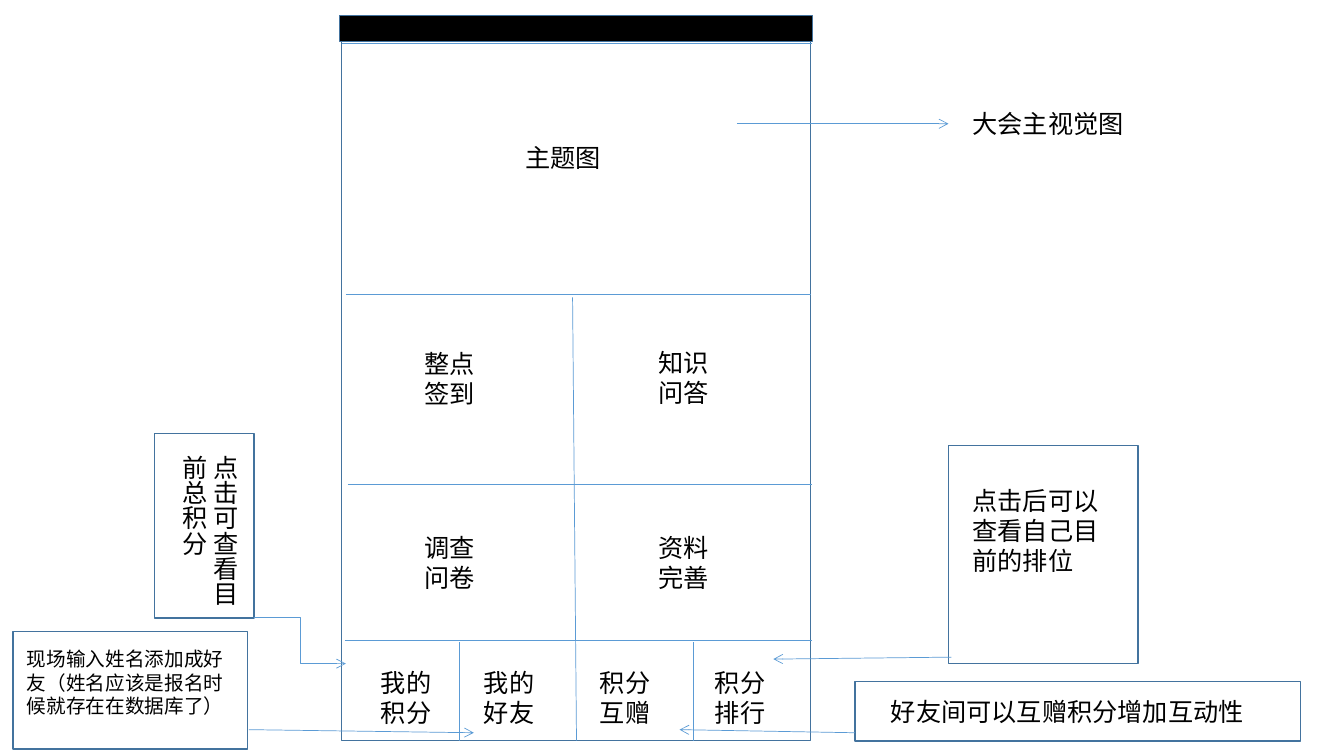
from pptx import Presentation
from pptx.dml.color import RGBColor
from pptx.enum import shapes, text
from pptx.oxml import ns
from pptx.util import Pt
from lxml import etree

FONT = "Calibri"
BLACK, WHITE, OUTLINE, LINE = "000000", "FFFFFF", "43739E", "5B9BD5"

PHONE = (244, 11, 335, 518)
STATUS_BAR = (242.7, 11, 337.6, 18.6)
DIVIDERS = [
    (244, 31, 580, 31),
    (247, 210.2, 579, 210.2),
    (246.3, 457.6, 580, 457.6),
    (409, 212.4, 411.8, 529),
    (328.2, 458.6, 328.2, 529),
    (495.4, 458.6, 495.4, 529),
    (248.4, 345.8, 580, 345.8),
]

TILE_WIDTH, TILE_HEIGHT = 64.8, 50.4
MENU_TOP = 473
MENU = [("我的积分", 265), ("我的好友", 338.6), ("积分互赠", 421.4), ("积分排行", 503.6)]
TILES = [
    ("整点签到", 296, 245),
    ("知识问答", 463, 244.2),
    ("调查问卷", 296, 376.8),
    ("资料完善", 463, 376.8),
]

LABELS = [
    ("主题图", (368, 98, 171.4, 29), 18, False),
    ("大会主视觉图", (687.6, 74, 188, 29), 18, False),
    ("点击可查看目前总积分", (117.4, 318.2, 57.6, 132.5), 18, True),
    ("现场输入姓名添加成好友（姓名应该是报名时候就存在在数据库了）",
     (12.2, 458.6, 155.5, 57.6), 14, False),
    ("好友间可以互赠积分增加互动性", (629.3, 494, 291, 29), 18, False),
    ("点击后可以查看自己目前的排位", (687.6, 342.8, 112.4, 72), 18, False),
]
NOTE_BOXES = [
    (9.2, 451, 167.8, 84.2),
    (110.2, 309.6, 71.3, 131.8),
    (610.6, 486.7, 318.2, 42.5),
    (677.5, 318.4, 135.4, 155.5),
]
ARROWS = [
    (526.4, 88.4, 677.5, 88.4),
    (177.8, 521.2, 338.4, 523.4),
    (610.6, 523.4, 485.4, 521.2),
    (679.6, 469.4, 552.4, 470.8),
]
SCORE_ARROW = (181.5, 441.2, 247, 474)


def color(value):
    return RGBColor.from_string(value)


def add_box(slide, bounds, fill=None):
    shape = slide.shapes.add_shape(
        shapes.MSO_SHAPE.RECTANGLE, *[Pt(v) for v in bounds])
    shape.shadow.inherit = False
    if fill:
        shape.fill.solid()
        shape.fill.fore_color.rgb = color(fill)
    else:
        shape.fill.background()
    shape.line.color.rgb = color(OUTLINE)
    shape.line.width = Pt(1)


def add_line(slide, ends, arrow=False, kind=shapes.MSO_CONNECTOR.STRAIGHT):
    connector = slide.shapes.add_connector(kind, *[Pt(v) for v in ends])
    connector.line.color.rgb = color(LINE)
    connector.line.width = Pt(0.5)
    if arrow:
        outline = connector.line._get_or_add_ln()
        etree.SubElement(outline, ns.qn("a:tailEnd"), type="arrow")
    etree.SubElement(connector._element.spPr, ns.qn("a:effectLst"))


def add_label(slide, words, bounds, size=18, vertical=False):
    frame = slide.shapes.add_textbox(*[Pt(v) for v in bounds]).text_frame
    frame.word_wrap = True
    frame.auto_size = text.MSO_AUTO_SIZE.SHAPE_TO_FIT_TEXT
    if vertical:
        frame._txBody.bodyPr.set("vert", "eaVert")
    paragraph = frame.paragraphs[0]
    paragraph.text = words
    paragraph.font.name = FONT
    paragraph.font.size = Pt(size)
    paragraph.font.color.rgb = color(BLACK)


def main():
    presentation = Presentation()
    presentation.slide_width, presentation.slide_height = Pt(960), Pt(540)
    slide = presentation.slides.add_slide(presentation.slide_layouts[6])

    add_box(slide, PHONE, WHITE)
    add_box(slide, STATUS_BAR, BLACK)
    for ends in DIVIDERS:
        add_line(slide, ends)
    for bounds in NOTE_BOXES:
        add_box(slide, bounds)
    for ends in ARROWS:
        add_line(slide, ends, arrow=True)
    add_line(slide, SCORE_ARROW, arrow=True, kind=shapes.MSO_CONNECTOR.ELBOW)

    tiles = TILES + [(words, left, MENU_TOP) for words, left in MENU]
    for words, left, top in tiles:
        add_label(slide, words, (left, top, TILE_WIDTH, TILE_HEIGHT))
    for label in LABELS:
        add_label(slide, *label)

    presentation.save("out.pptx")


if __name__ == "__main__":
    main()
